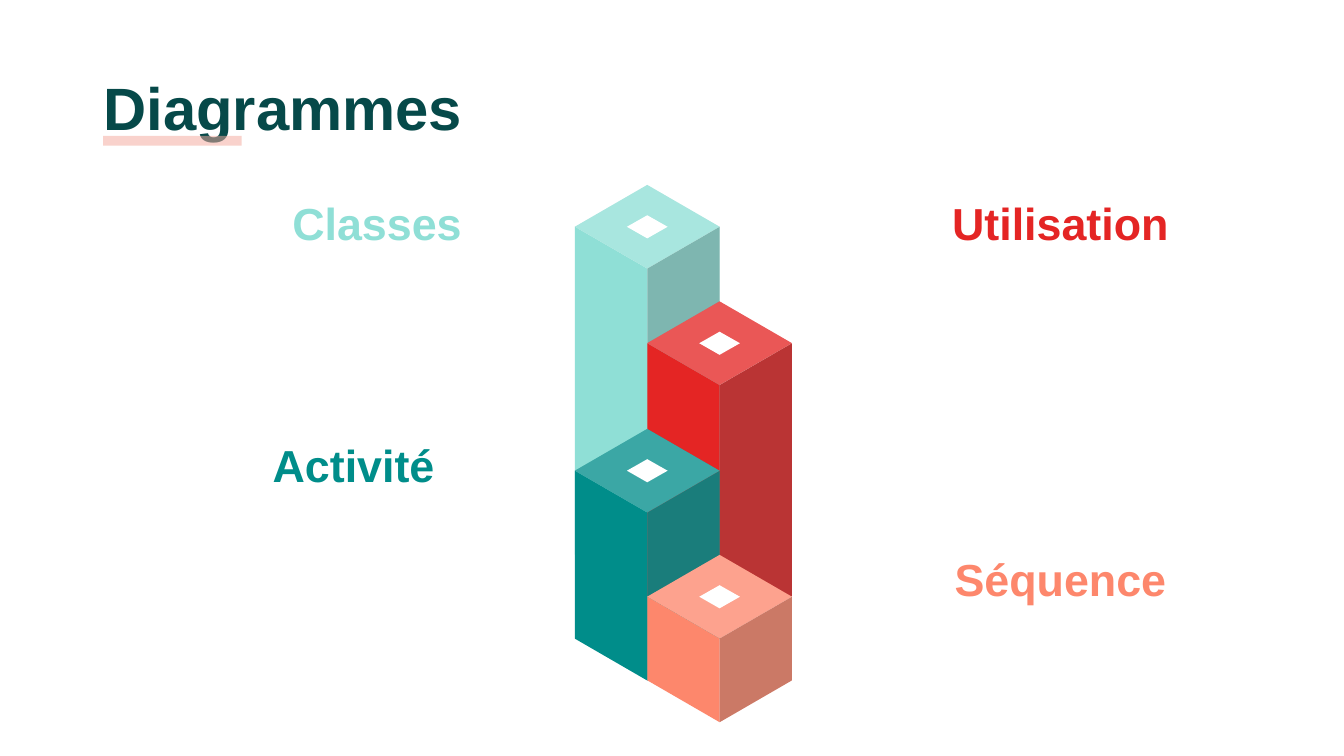
from lxml import etree
from pptx import Presentation
from pptx.dml.color import RGBColor
from pptx.enum.shapes import MSO_SHAPE
from pptx.enum.text import MSO_ANCHOR, MSO_AUTO_SIZE, PP_ALIGN
from pptx.oxml.ns import qn
from pptx.util import Pt

COLORS = {
    "title": "064949",
    "underline": "F4AA9E",
    "mint": "8FDFD6",
    "red": "E42524",
    "teal": "008D8A",
    "coral": "FD876C",
    "shade": "595959",
    "white": "FFFFFF",
}
HALF_W, HALF_H = 38.75, 22.4
HOLE_W, HOLE_H = 10.9, 6.2
LEFT_X, RIGHT_X = 308, 346.75

LABELS = [
    ("Classes", "mint", (140.4, 95, 123.1, 36.7)),
    ("Utilisation", "red", (494.6, 95, 146.9, 44.6)),
    ("Séquence", "coral", (499, 285.8, 138.2, 44.6)),
    ("Activité", "teal", (129.6, 224.6, 119.5, 42.5)),
]
PILLARS = [
    ("mint", (LEFT_X, 99.1, 175.7)),
    ("red", (RIGHT_X, 161.5, 135.4)),
    ("teal", (LEFT_X, 229.8, 90)),
    ("coral", (RIGHT_X, 297.3, 44.8)),
]


def paint(sp, color, alpha=100):
    sp.shadow.inherit = False
    sp.fill.solid()
    sp.fill.fore_color.rgb = RGBColor.from_string(COLORS[color])
    sp.line.fill.background()
    if alpha < 100:
        clr = sp._element.spPr.find(qn("a:solidFill"))[0]
        etree.SubElement(clr, qn("a:alpha"), val=str(alpha * 1000))


def fill_placeholder(sp, box, text, color, size, align):
    sp.left, sp.top, sp.width, sp.height = map(Pt, box)
    tf = sp.text_frame
    tf.text = text
    tf.word_wrap = True
    tf.auto_size = MSO_AUTO_SIZE.NONE
    tf.vertical_anchor = MSO_ANCHOR.TOP
    tf.margin_left = tf.margin_right = tf.margin_bottom = Pt(7.2)
    tf.margin_top = Pt(10)
    p = tf.paragraphs[0]
    p.alignment = align
    p.space_before = Pt(0)
    pPr = p._p.get_or_add_pPr()
    pPr.set("marL", "0")
    pPr.set("indent", "0")
    etree.SubElement(pPr, qn("a:buNone"))
    font = p.runs[0].font
    font.name, font.size, font.bold = "Arial", Pt(size), True
    font.color.rgb = RGBColor.from_string(COLORS[color])


def add_heading(slide, box):
    x, y, w, h = box
    fill_placeholder(slide.shapes.title, box, "Diagrammes", "title", 32, PP_ALIGN.LEFT)
    bar = slide.shapes.add_shape(
        MSO_SHAPE.RECTANGLE, Pt(x + 7), Pt(y + 44.7), Pt(74.3), Pt(5.3))
    paint(bar, "underline", 52)


def add_labels(slide):
    holders = [ph for ph in slide.placeholders if ph.placeholder_format.idx]
    for sp, (text, color, box) in zip(holders, LABELS):
        fill_placeholder(sp, box, text, color, 24, PP_ALIGN.CENTER)


def add_face(shapes, points, color, alpha=100):
    pts = [(Pt(x), Pt(y)) for x, y in points]
    builder = shapes.build_freeform(*pts[0])
    builder.add_line_segments(pts[1:], close=True)
    paint(builder.convert_to_shape(), color, alpha)


def rhombus(cx, cy, half_w, half_h):
    return [(cx, cy - half_h), (cx - half_w, cy), (cx, cy + half_h), (cx + half_w, cy)]


def add_pillar(shapes, color, box):
    x, y, side = box
    cx, cy = x + HALF_W, y + HALF_H
    top = rhombus(cx, cy, HALF_W, HALF_H)
    _, left, front, right = top

    def wall(a, b):
        return [a, (a[0], a[1] + side), (b[0], b[1] + side), b]

    add_face(shapes, top, color)
    add_face(shapes, wall(left, front), color)
    add_face(shapes, wall(front, right), color)
    add_face(shapes, wall(front, right), "shade", 30)
    add_face(shapes, top, "white", 23)
    add_face(shapes, rhombus(cx, cy, HOLE_W, HOLE_H), "white")


def main():
    prs = Presentation()
    prs.slide_width, prs.slide_height = Pt(720), Pt(405)
    slide = prs.slides.add_slide(prs.slide_layouts.get_by_name("Comparison"))
    add_heading(slide, (48.2, 28.1, 671, 45.4))
    add_labels(slide)
    tower = slide.shapes.add_group_shape()
    for color, box in PILLARS:
        add_pillar(tower.shapes, color, box)
    prs.save("out.pptx")


if __name__ == "__main__":
    main()
